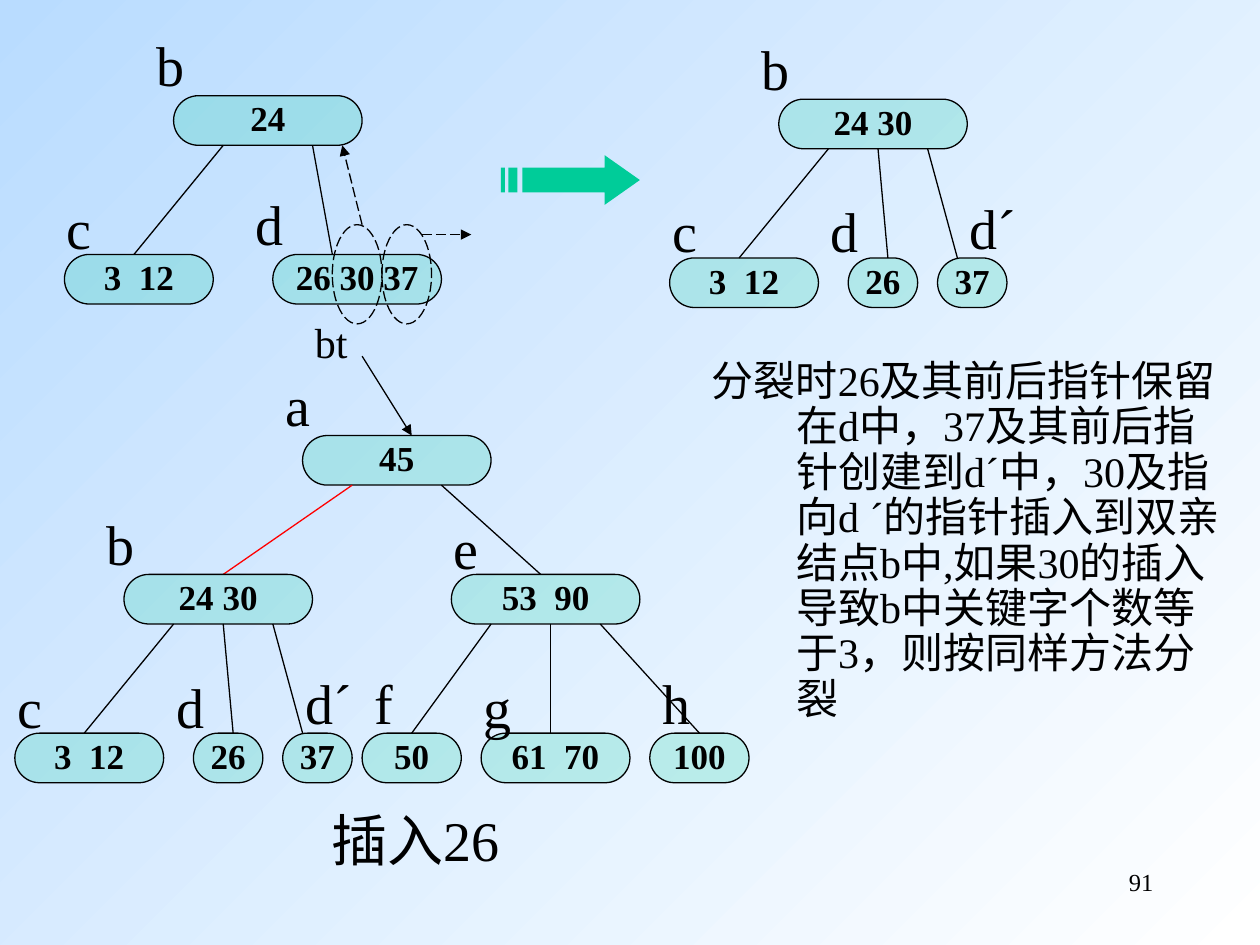
from dataclasses import dataclass

from lxml import etree
from pptx import Presentation
from pptx import util as u
from pptx.dml.color import RGBColor
from pptx.enum import dml, shapes, text
from pptx.oxml.ns import qn


@dataclass(frozen=True)
class Theme:
    font: str = "Times New Roman"
    ink: RGBColor = RGBColor(0, 0, 0)
    accent: RGBColor = RGBColor(0x00, 0xCC, 0x99)
    changed: RGBColor = RGBColor(0xFF, 0, 0)
    sky: RGBColor = RGBColor(0xB9, 0xDC, 0xFF)
    white: RGBColor = RGBColor(0xFF, 0xFF, 0xFF)
    label: int = 32
    body: int = 24
    key: int = 20
    number: int = 14
    hairline: float = 0.75
    node_opacity: int = 20000


T = Theme()
LEFT, CENTER, RIGHT = text.PP_ALIGN.LEFT, text.PP_ALIGN.CENTER, text.PP_ALIGN.RIGHT
NODE_H, LEVEL, ROOT_W = 1.0, 3.2, 3.8
HIGH, LOW = -1.28, -1.2  # label tops, measured from the node top


def cm(*values):
    return [u.Cm(v) for v in values]


def write(s, words, size, align=LEFT, bold=False, spacing=0.9):
    p = s.text_frame.paragraphs[0]
    r = p.add_run()
    r.text = words
    for name, value in dict(alignment=align, line_spacing=spacing).items():
        setattr(p, name, value)
    for name, value in dict(name=T.font, size=u.Pt(size), bold=bold).items():
        setattr(r.font, name, value)
    r.font.color.rgb = T.ink
    return p


def text_box(parent, x, y, w, h, words, size, **style):
    s = parent.shapes.add_textbox(*cm(x, y, w, h))
    s.text_frame.word_wrap = True
    s.text_frame.auto_size = text.MSO_AUTO_SIZE.SHAPE_TO_FIT_TEXT
    return write(s, words, size, **style)


def label(g, x, y, words):
    text_box(g, x, y, 1.0 if len(words) == 1 else 1.9, 1.47, words, T.label)


def outline(s, color=T.ink, dashed=False):
    s.line.width = u.Pt(T.hairline)
    s.line.color.rgb = color
    if dashed:
        s.line.dash_style = dml.MSO_LINE.LONG_DASH


def node(g, x, y, w, keys):
    s = g.shapes.add_shape(shapes.MSO_SHAPE.ROUNDED_RECTANGLE, *cm(x, y, w, NODE_H))
    s.adjustments[0] = 0.5
    s.shadow.inherit = False
    s.fill.solid()
    s.fill.fore_color.rgb = T.accent
    color = s._element.spPr.find(qn("a:solidFill"))[0]
    etree.SubElement(color, qn("a:alpha"), val=str(T.node_opacity))
    outline(s)
    s.text_frame.word_wrap = False
    s.text_frame.vertical_anchor = text.MSO_ANCHOR.MIDDLE
    write(s, keys, T.key, align=CENTER, bold=True)


def line(g, x1, y1, x2, y2, color=T.ink, dashed=False, arrow=False):
    c = g.shapes.add_connector(shapes.MSO_CONNECTOR.STRAIGHT, *cm(x1, y1, x2, y2))
    outline(c, color, dashed)
    props = c._element.spPr
    if arrow:
        etree.SubElement(props.find(qn("a:ln")), qn("a:tailEnd"), type="triangle")
    etree.SubElement(props, qn("a:effectLst"))


def subtree(g, x, y, root, children, links):
    """root: dx, keys, label, label offset; children: dx, width, keys, label,
    label offset; links: start from the root's left, end from x."""
    root_dx, keys, name, (dx, dy) = root
    node(g, x + root_dx, y, ROOT_W, keys)
    label(g, x + root_dx + dx, y + dy, name)
    for start, end in links:
        line(g, x + root_dx + start, y + NODE_H, x + end, y + LEVEL)
    for child_dx, w, keys, name, (dx, dy) in children:
        node(g, x + child_dx, y + LEVEL, w, keys)
        label(g, x + child_dx + dx, y + LEVEL + dy, name)


LEAF_C = (0, 3.0, "3  12", "c", (-0.2, LOW))


def split_subtree(g, x, y, prime_dx):
    subtree(g, x, y, (2.2, "24 30", "b", (-0.6, HIGH)),
            [LEAF_C,
             (3.6, 1.4, "26", "d", (-0.6, LOW)),
             (5.4, 1.4, "37", "d´", (prime_dx, HIGH))],
            [(1.0, 1.4), (2.0, 4.4), (3.0, 5.8)])


def overfull_subtree(g, x, y):
    subtree(g, x, y, (2.2, "24", "b", (-0.6, HIGH)),
            [LEAF_C, (4.2, 3.4, "26 30 37", "d", (-0.6, HIGH))],
            [(1.0, 1.4), (2.8, 5.4)])
    for dx in (5.4, 6.4):
        s = g.shapes.add_shape(shapes.MSO_SHAPE.OVAL, *cm(x + dx, y + 2.6, 1.0, 2.0))
        s.shadow.inherit = False
        s.fill.background()
        outline(s, dashed=True)
    for x1, y1, x2, y2 in ((6.0, 2.6, 5.6, 1.0), (7.2, 2.8, 8.2, 2.8)):
        line(g, x + x1, y + y1, x + x2, y + y2, dashed=True, arrow=True)


def whole_tree(g, x, y):
    """The full tree; x and y are the corner of its root node."""
    node(g, x, y, ROOT_W, "45")
    label(g, x - 0.6, y + HIGH, "a")
    text_box(g, x, y - 2.4, 1.6, 1.17, "bt", T.body)
    line(g, x + 1.2, y - 1.6, x + 2.2, y, arrow=True)
    middle = y + 2.8
    line(g, x + 1.0, y + NODE_H, x - 1.6, middle, color=T.changed)
    line(g, x + 2.8, y + NODE_H, x + 4.8, middle)
    split_subtree(g, x - 5.8, middle, prime_dx=0.2)
    subtree(g, x + 1.2, middle, (1.8, "53  90", "e", (-0.2, LOW)),
            [(0, 2.0, "50", "f", (0, HIGH)),
             (2.4, 3.0, "61  70", "g", (-0.2, LOW)),
             (5.8, 2.0, "100", "h", (0, HIGH))],
            [(0.8, 1.0), (2.0, 3.8), (3.0, 6.8)])


def striped_arrow(sl, x, y):
    """Points are in hundredths of a centimetre."""
    head = [(209, 0), (209, 25), (43, 25), (43, 75), (209, 75), (209, 100), (280, 50)]
    stripes = [[(a, 25), (a, 75), (b, 75), (b, 25)] for a, b in ((15, 33), (0, 8))]
    fb = sl.shapes.build_freeform(*head[0], scale=u.Cm(1) / 100)
    fb.add_line_segments(head[1:])
    for stripe in stripes:
        fb.move_to(*stripe[0])
        fb.add_line_segments(stripe[1:])
    s = fb.convert_to_shape(*cm(x, y))
    s.shadow.inherit = False
    s.fill.solid()
    s.fill.fore_color.rgb = T.accent
    s.line.fill.background()


def explanation(sl, x, y, w, h):
    p = text_box(sl, x, y, w, h,
                 "分裂时26及其前后指针保留在d中，37及其前后指针创建到d´中，"
                 "30及指向d ´的指针插入到双亲结点b中,如果30的插入导致b中"
                 "关键字个数等于3，则按同样方法分裂", T.body)
    hang = u.Cm(1.7)
    for name, value in dict(marL=hang, indent=-hang).items():
        p._p.get_or_add_pPr().set(name, str(value))


def background(sl):
    fill = sl.background.fill
    fill.gradient()
    fill.gradient_angle = 315
    for stop, color in zip(fill.gradient_stops, (T.sky, T.white)):
        stop.color.rgb = color


def main():
    prs = Presentation()
    prs.slide_width, prs.slide_height = cm(25.4, 19.05)
    sl = prs.slides.add_slide(prs.slide_layouts[6])
    background(sl)
    text_box(sl, 3.68, 16.26, 9.4, 1.47, "插入26", T.label, align=CENTER)
    whole_tree(sl.shapes.add_group_shape(), 6.1, 8.78)
    overfull_subtree(sl.shapes.add_group_shape(), 1.3, 1.93)
    striped_arrow(sl, 10.1, 3.13)
    explanation(sl, 14.1, 7.14, 10.8, 7.57)
    split_subtree(sl.shapes.add_group_shape(), 13.5, 2.0, prime_dx=0.4)
    text_box(sl, 18.2, 17.35, 5.3, 1.27, "91", T.number, align=RIGHT, spacing=1.0)
    prs.save("out.pptx")


if __name__ == "__main__":
    main()
